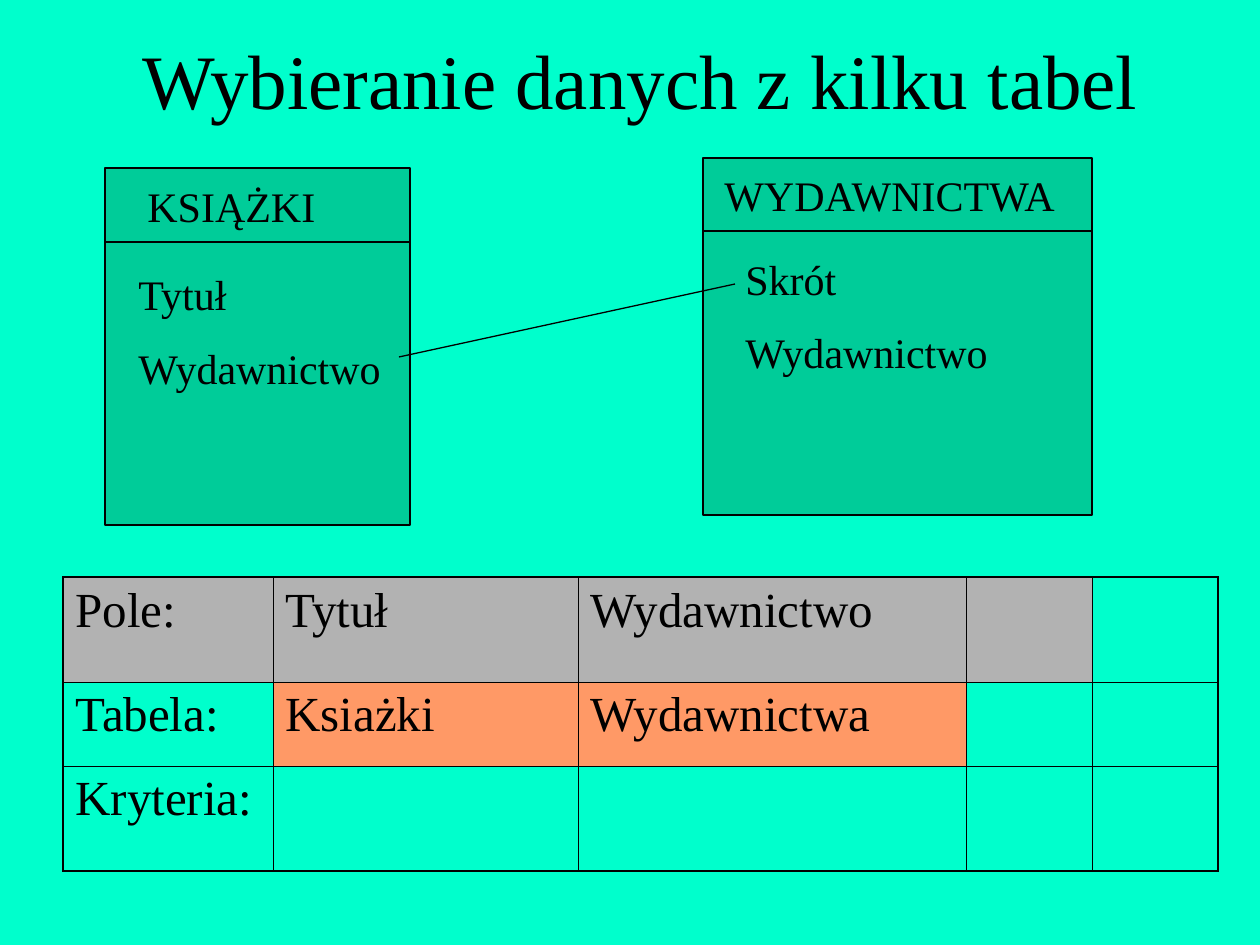
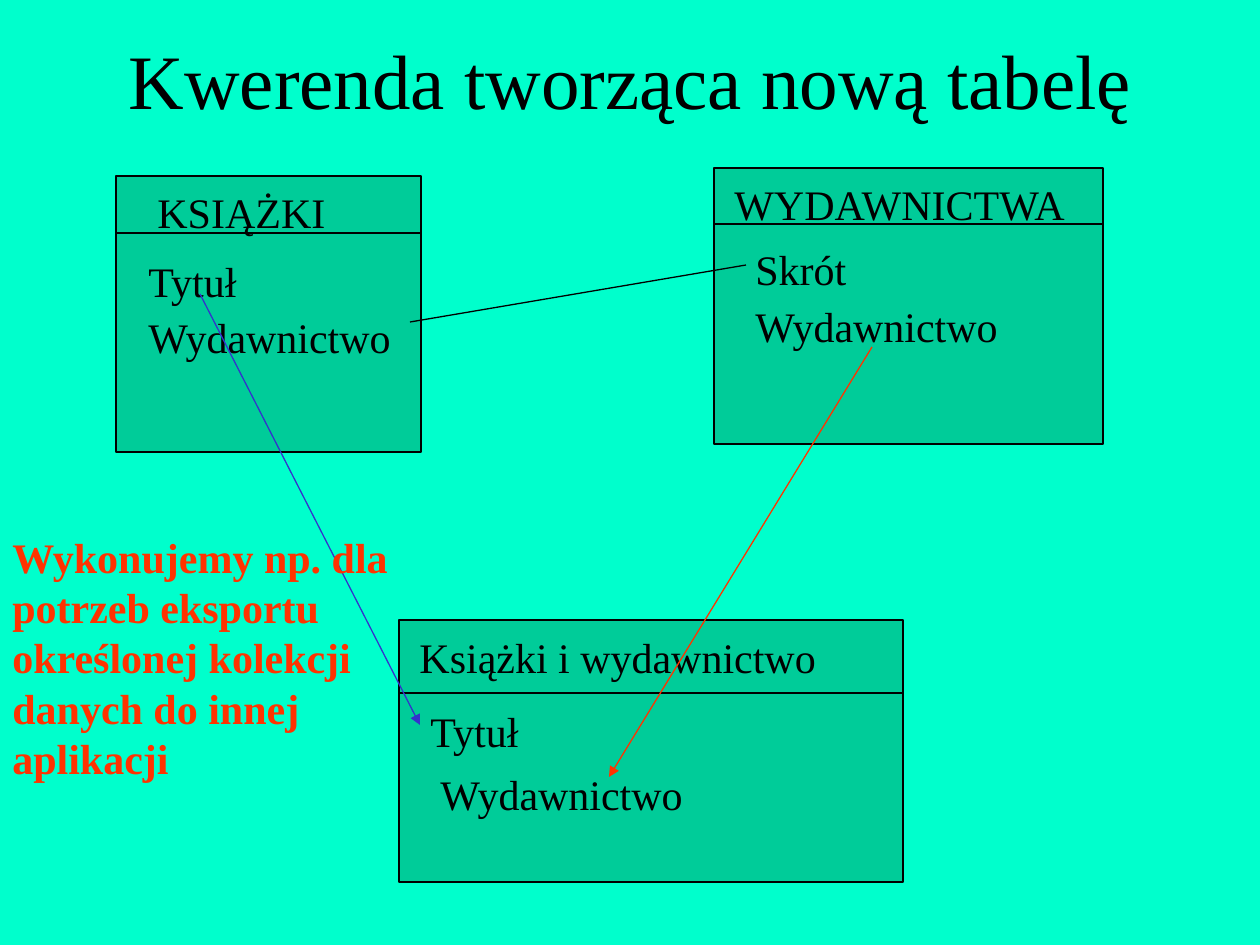
import pptx
import pptx.util
import pptx.dml.color
import pptx.enum.shapes
import pptx.enum.text
import pptx.oxml.ns
import lxml.etree

PX = 914400 / 126
FONT = "Times New Roman"
HEX = {"back": "00FFCC", "box": "00CC99", "ink": "000000", "grey": "B2B2B2",
       "peach": "FF9966", "blue": "3333CC", "red": "FF3300"}
RGB = {name: pptx.dml.color.RGBColor.from_string(code) for name, code in HEX.items()}
qn = pptx.oxml.ns.qn
Pt = pptx.util.Pt


def write(slide, text, x, y, w, h, size=24, tint="ink", title=False, bold=False):
    box = slide.shapes.add_textbox(*[round(n * PX) for n in (x, y, w, h)])
    frame = box.text_frame
    frame.word_wrap = title
    frame.text = text
    par = frame.paragraphs[0]
    par.font.name, par.font.size, par.font.bold = FONT, Pt(size), bold
    par.font.color.rgb = RGB[tint]
    if title:
        frame.vertical_anchor = pptx.enum.text.MSO_ANCHOR.MIDDLE
        par.alignment = pptx.enum.text.PP_ALIGN.CENTER


def link(slide, x1, y1, x2, y2, tint="ink", arrow=False):
    line = slide.shapes.add_connector(pptx.enum.shapes.MSO_CONNECTOR.STRAIGHT,
                                      *[round(n * PX) for n in (x1, y1, x2, y2)])
    line.line.color.rgb = RGB[tint]
    line.line.width = Pt(0.75)
    props = line._element.spPr
    if arrow:
        lxml.etree.SubElement(props.find(qn("a:ln")), qn("a:tailEnd"), type="triangle")
    lxml.etree.SubElement(props, qn("a:effectLst"))


# Per slide: title, its left edge, and the entity boxes
# Entity: frame, y of the rule under the name, (text, x, y) of name and fields
pages = [
    ("Wybieranie danych z kilku tabel", 105, [
        ((105, 168, 305, 357), 242,
         [("KSIĄŻKI", 135, 174), ("Tytuł", 126, 262), ("Wydawnictwo", 126, 336)]),
        ((703, 158, 389, 357), 231,
         [("WYDAWNICTWA", 712, 163), ("Skrót", 733, 247), ("Wydawnictwo", 733, 320)]),
    ]),
    ("Kwerenda tworząca nową tabelę", 95, [
        ((116, 176, 305, 276), 233,
         [("KSIĄŻKI", 145, 180), ("Tytuł", 136, 249), ("Wydawnictwo", 136, 305)]),
        ((714, 168, 389, 276), 224,
         [("WYDAWNICTWA", 722, 172), ("Skrót", 743, 237), ("Wydawnictwo", 743, 294)]),
        ((399, 620, 504, 262), 693,
         [("Książki i wydawnictwo", 407, 625), ("Tytuł", 418, 699),
          ("Wydawnictwo", 428, 762)]),
    ]),
]

deck = pptx.Presentation()
deck.slide_width, deck.slide_height = round(1260 * PX), round(945 * PX)

# Titles and entity boxes
for title, left, items in pages:
    slide = deck.slides.add_slide(deck.slide_layouts[6])
    slide.background.fill.solid()
    slide.background.fill.fore_color.rgb = RGB["back"]
    write(slide, title, left, 0, 1071, 158, size=44, title=True)
    for (x, y, w, h), rule, texts in items:
        rect = slide.shapes.add_shape(pptx.enum.shapes.MSO_SHAPE.RECTANGLE,
                                      *[round(n * PX) for n in (x, y, w, h)])
        rect.shadow.inherit = False
        rect.fill.solid()
        rect.fill.fore_color.rgb = RGB["box"]
        rect.line.color.rgb = RGB["ink"]
        rect.line.width = Pt(0.75)
        link(slide, x, rule, x + w, rule)
        for text, tx, ty in texts:
            write(slide, text, tx, ty, x + w - tx, 63)

# Slide 1: relation and query grid
first, second = deck.slides
link(first, 399, 357, 735, 284)
cols, rows = [210, 305, 388, 126, 126], [105, 84, 105]
words = [["Pole:", "Tytuł", "Wydawnictwo", "", ""],
         ["Tabela:", "Ksiażki", "Wydawnictwa", "", ""],
         ["Kryteria:", "", "", "", ""]]
fills = [["grey"] * 4 + [None],
         [None, "peach", "peach", None, None],
         [None] * 5]
grid = first.shapes.add_table(3, 5, *[round(n * PX) for n in
                                      (63, 577, sum(cols), sum(rows))]).table
grid.first_row = grid.horz_banding = False
for c, width in enumerate(cols):
    grid.columns[c].width = round(width * PX)
for r, height in enumerate(rows):
    grid.rows[r].height = round(height * PX)
    for c, word in enumerate(words[r]):
        cell = grid.cell(r, c)
        cell.text = word
        font = cell.text_frame.paragraphs[0].font
        font.name, font.size, font.color.rgb = FONT, Pt(28), RGB["ink"]
        if fills[r][c]:
            cell.fill.solid()
            cell.fill.fore_color.rgb = RGB[fills[r][c]]
        else:
            cell.fill.background()
        # Thick outer edges, thin inner ones
        outer = {"L": c == 0, "R": c == 4, "T": r == 0, "B": r == 2}
        props = cell._tc.get_or_add_tcPr()
        for spot, (side, thick) in enumerate(outer.items()):
            edge = lxml.etree.Element(qn("a:ln" + side), w=str(Pt(1.08 if thick else 0.45)))
            paint = lxml.etree.SubElement(edge, qn("a:solidFill"))
            lxml.etree.SubElement(paint, qn("a:srgbClr"), val=HEX["ink"])
            props.insert(spot, edge)

# Slide 2: relation, arrows to the new table, and remark
link(second, 410, 322, 746, 265)
link(second, 200, 294, 420, 725, "blue", arrow=True)
link(second, 872, 347, 609, 777, "red", arrow=True)
remark = ["Wykonujemy np. dla", "potrzeb eksportu", "określonej kolekcji",
          "danych do innej", "aplikacji"]
write(second, "\v".join(remark), 0, 525, 402, 265, tint="red", bold=True)

deck.save("out.pptx")
